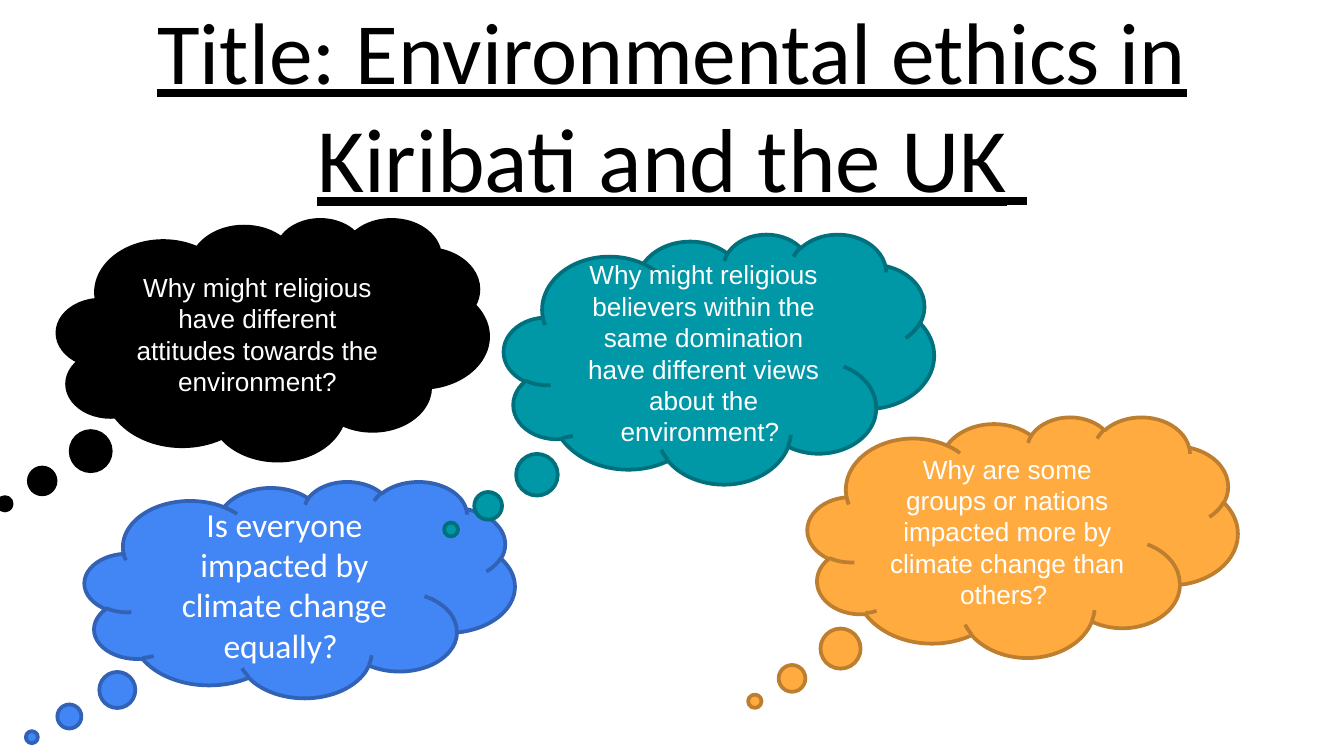
from dataclasses import dataclass

import pptx
import pptx.dml.color
import pptx.enum.shapes
import pptx.enum.text
import pptx.util

Pt = pptx.util.Pt
ALIGN = pptx.enum.text.PP_ALIGN
ANCHOR = pptx.enum.text.MSO_ANCHOR

COLORS = {
    "black": "000000",
    "white": "FFFFFF",
    "blue": "4285F4",
    "navy": "3162B5",
    "orange": "FFAB40",
    "brown": "BD7F2F",
    "teal": "0097A7",
    "pine": "00707C",
}
WIDTH = 230.4
TAIL = (-0.623, 0.683)


@dataclass
class Cloud:
    left: float
    top: float
    height: float
    fill: str
    edge: str
    text: str
    size: float = 14
    font: str = "Arial"


CLOUDS = [
    Cloud(45.4, 257.8, 115.9, "blue", "navy",
          "Is everyone impacted by climate change equally? ", 18, "Calibri"),
    Cloud(432.7, 223.2, 128.9, "orange", "brown",
          "Why are some groups or nations impacted more by climate change than others? "),
    Cloud(31, 117.4, 128.9, "black", "black",
          "Why might religious have different attitudes towards the environment?"),
    Cloud(270, 125.3, 133.9, "teal", "pine",
          "Why might religious believers within the same domination "
          "have different views about the environment? "),
]
TITLE = [
    ("Title: Environmental ethics in ", 46.8),
    ("Kiribati and the UK", 48.6),
    (" ", 46.8),
]


def shade(name: str) -> pptx.dml.color.RGBColor:
    return pptx.dml.color.RGBColor.from_string(COLORS[name])


def add_run(para, text: str, size: float, font: str, color: str, under: bool = False) -> None:
    run = para.add_run()
    run.text = text
    run.font.size = Pt(size)
    run.font.name = font
    run.font.color.rgb = shade(color)
    if under:
        run.font.underline = True


def fill_title(title) -> None:
    title.left, title.top = Pt(24.5), Pt(0)
    title.width, title.height = Pt(671), Pt(120.2)
    frame = title.text_frame
    frame.auto_size = pptx.enum.text.MSO_AUTO_SIZE.NONE
    frame.word_wrap = True
    frame.vertical_anchor = ANCHOR.BOTTOM
    frame.margin_left = frame.margin_right = Pt(7.2)
    frame.margin_top = frame.margin_bottom = Pt(7.2)
    para = frame.paragraphs[0]
    para.alignment = ALIGN.CENTER
    for text, size in TITLE:
        add_run(para, text, size, "Calibri", "black", under=True)


def add_cloud(slide, cloud: Cloud) -> None:
    shape = slide.shapes.add_shape(
        pptx.enum.shapes.MSO_SHAPE.CLOUD_CALLOUT,
        Pt(cloud.left), Pt(cloud.top), Pt(WIDTH), Pt(cloud.height))
    shape.adjustments[0], shape.adjustments[1] = TAIL
    shape.shadow.inherit = False
    shape.fill.solid()
    shape.fill.fore_color.rgb = shade(cloud.fill)
    shape.line.color.rgb = shade(cloud.edge)
    shape.line.width = Pt(2)
    frame = shape.text_frame
    frame.word_wrap = True
    frame.vertical_anchor = ANCHOR.MIDDLE
    para = frame.paragraphs[0]
    para.alignment = ALIGN.CENTER
    add_run(para, cloud.text, cloud.size, cloud.font, "white")


def main() -> None:
    deck = pptx.Presentation()
    deck.slide_width, deck.slide_height = Pt(720), Pt(405)
    slide = deck.slides.add_slide(deck.slide_layouts[0])
    blank = slide.placeholders[1].element
    blank.getparent().remove(blank)
    fill_title(slide.shapes.title)
    for cloud in CLOUDS:
        add_cloud(slide, cloud)
    deck.save("out.pptx")


if __name__ == "__main__":
    main()
